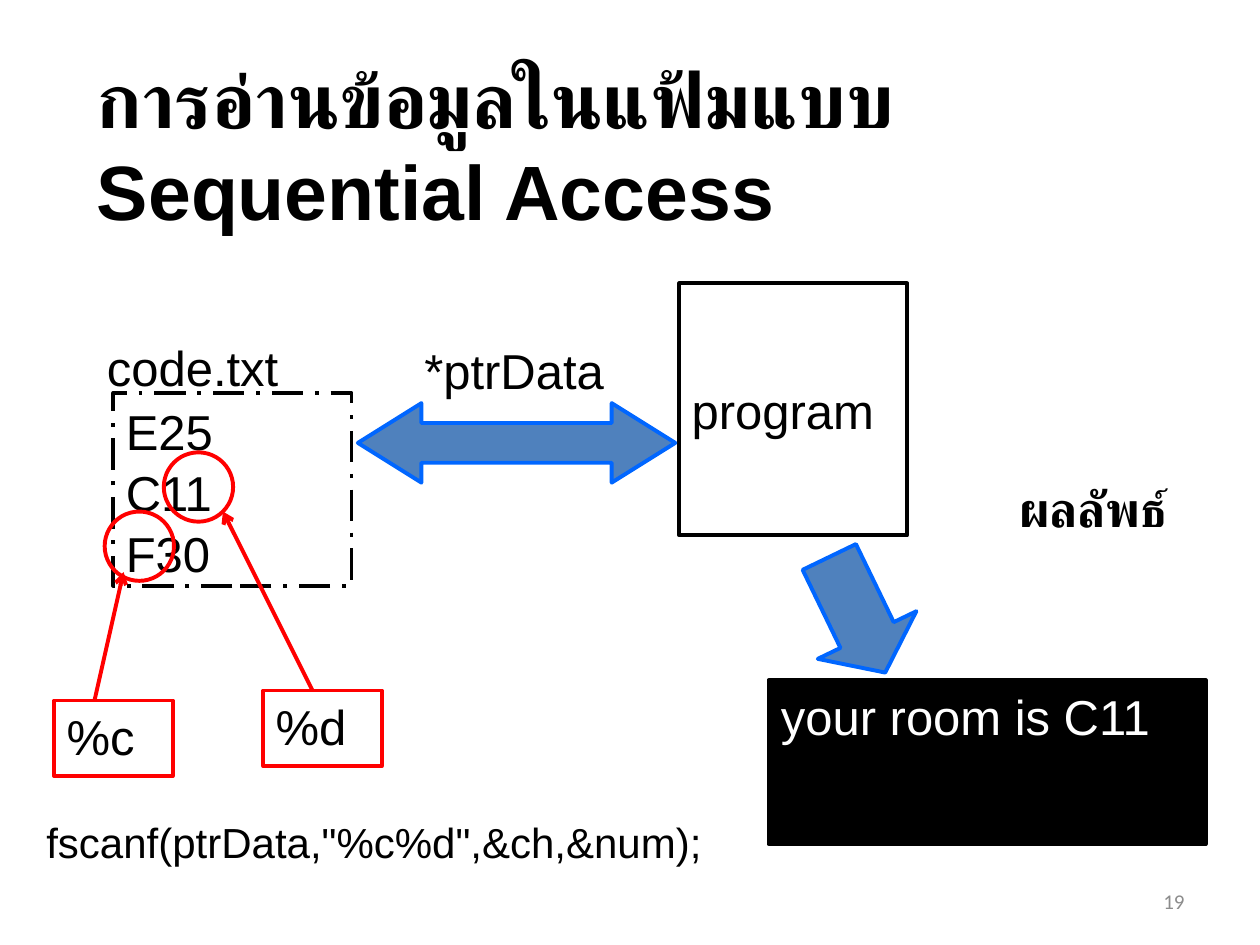
from pptx import Presentation
from pptx.dml.color import RGBColor
from pptx.enum.dml import MSO_LINE_DASH_STYLE as Dash
from pptx.enum.shapes import MSO_CONNECTOR as Connector, MSO_SHAPE as Shape
from pptx.enum.text import MSO_ANCHOR as Anchor, MSO_AUTO_SIZE as AutoSize, PP_ALIGN as Align
from pptx.oxml.ns import qn
from pptx.util import Pt
from lxml.etree import SubElement

BLACK, WHITE, RED = "000000", "FFFFFF", "FF0000"
ARROW_FILL, ARROW_EDGE = "4F81BD", "0066FF"


def rgb(value):
    return RGBColor.from_string(value)


class Sheet:
    """Draws styled elements, measured in points, on one slide."""

    font, size, stroke = "Arial", 28, 2.25

    def __init__(self, slide):
        self.slide = slide
        self.shapes = slide.shapes

    def set_text(self, holder, text, size=None, color=BLACK, bold=False, font=None,
                 align=Align.LEFT, anchor=Anchor.TOP, spacing=None):
        frame = holder.text_frame
        frame.text = text
        frame.word_wrap = True
        frame.auto_size = AutoSize.NONE
        frame.vertical_anchor = anchor
        for paragraph in frame.paragraphs:
            paragraph.alignment = align
            paragraph.line_spacing = spacing
            for run in paragraph.runs:
                run.font.name = font or self.font
                run.font.size = Pt(size or self.size)
                run.font.bold = bold
                run.font.color.rgb = rgb(color)
                complex_script = SubElement(run.font._element, qn("a:cs"))
                complex_script.set("typeface", font or self.font)

    def title(self, text, left, top, width, height):
        heading = self.shapes.title
        heading.left, heading.top = Pt(left), Pt(top)
        heading.width, heading.height = Pt(width), Pt(height)
        self.set_text(heading, text, size=44, bold=True)

    def label(self, text, left, top, width, height, **style):
        caption = self.shapes.add_textbox(Pt(left), Pt(top), Pt(width), Pt(height))
        self.set_text(caption, text, **style)

    def shape(self, kind, left, top, width, height, edge, fill=None, text="",
              adjust=(), dash=None, rotation=0, **style):
        outline = self.shapes.add_shape(kind, Pt(left), Pt(top), Pt(width), Pt(height))
        outline.shadow.inherit = False
        outline.rotation = rotation
        if fill:
            outline.fill.solid()
            outline.fill.fore_color.rgb = rgb(fill)
        else:
            outline.fill.background()
        outline.line.color.rgb = rgb(edge)
        outline.line.width = Pt(self.stroke)
        if dash:
            outline.line.dash_style = dash
        for index, value in enumerate(adjust):
            outline.adjustments[index] = value
        if text:
            self.set_text(outline, text, **style)
        return outline

    def pointer(self, start, end, color):
        arrow = self.shapes.add_connector(Connector.STRAIGHT, *map(Pt, start + end))
        arrow.line.color.rgb = rgb(color)
        arrow.line.width = Pt(self.stroke)
        properties = arrow._element.spPr
        SubElement(properties.find(qn("a:ln")), qn("a:tailEnd")).set("type", "arrow")
        SubElement(properties, qn("a:effectLst"))
        return arrow

    def callout(self, text, left, top, start_x, target):
        tag = self.shape(Shape.RECTANGLE, left, top, 67.7, 43.2, RED, text=text)
        pointer = self.pointer((start_x, top), target, RED)
        self.shapes.add_group_shape([tag, pointer])


def main():
    deck = Presentation()
    deck.slide_width, deck.slide_height = Pt(720), Pt(540)
    sheet = Sheet(deck.slides.add_slide(deck.slide_layouts[5]))

    sheet.title("การอ่านข้อมูลในแฟ้มแบบ Sequential Access", 48.2, 25.9, 655.2, 113.8)
    sheet.label("19", 516.2, 500.4, 167.8, 28.8, size=12, color="8C8C8C",
                font="Calibri", align=Align.RIGHT, anchor=Anchor.MIDDLE)

    sheet.shape(Shape.RECTANGLE, 64.8, 224.6, 136.1, 110.2, BLACK, WHITE,
                "E25\nC11\nF30", dash=Dash.LONG_DASH_DOT, spacing=1.04)
    sheet.label("code.txt", 54, 189.4, 181.4, 41)
    sheet.shape(Shape.RECTANGLE, 439.2, 388.8, 249.8, 93.6, BLACK, BLACK,
                "your room is C11", color=WHITE)
    sheet.shape(Shape.RECTANGLE, 388.1, 162, 130.3, 144, BLACK, text="program",
                anchor=Anchor.MIDDLE)
    sheet.shape(Shape.LEFT_RIGHT_ARROW, 204.5, 230.4, 181.4, 45.4, ARROW_EDGE, ARROW_FILL,
                adjust=(0.5, 0.8))
    sheet.label("*ptrData", 235.4, 190.8, 118.8, 41)
    sheet.shape(Shape.DOWN_ARROW, 458.6, 314.6, 62.6, 73.4, ARROW_EDGE, ARROW_FILL,
                adjust=(0.54, 0.38), rotation=334.2)
    sheet.label("ผลลัพธ์", 575.3, 270, 118.8, 41, bold=True)

    sheet.callout("%c", 31, 400.3, 54, (70.6, 326.9))
    sheet.callout("%d", 150.5, 394.6, 178.6, (127.4, 292.3))
    for left, top in ((59.8, 292.3), (93.6, 258.5)):
        sheet.shape(Shape.OVAL, left, top, 39.6, 39.6, RED)
    sheet.label('fscanf(ptrData,"%c%d",&ch,&num);', 19.4, 463, 396.7, 36, size=24)

    deck.save("out.pptx")


if __name__ == "__main__":
    main()
